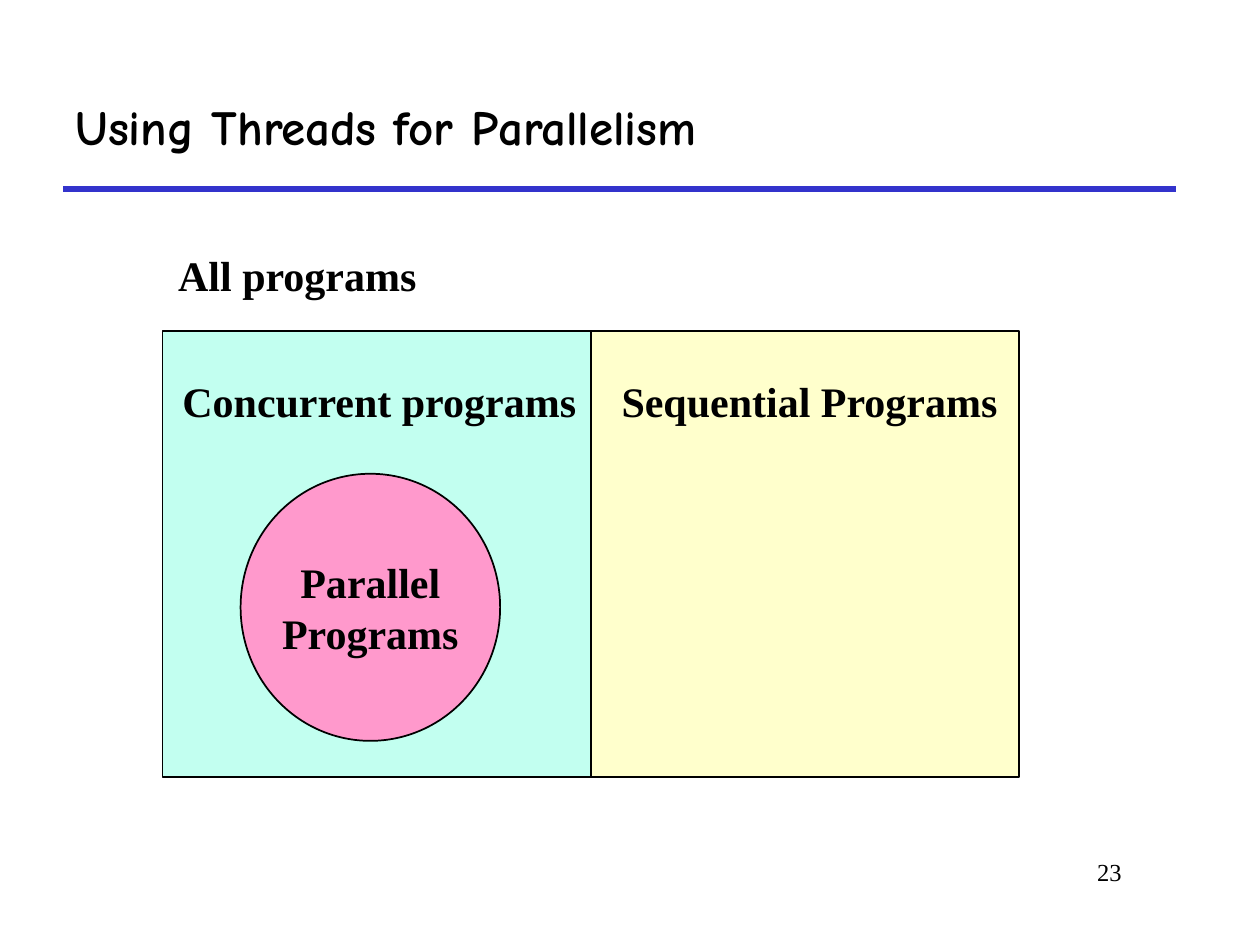
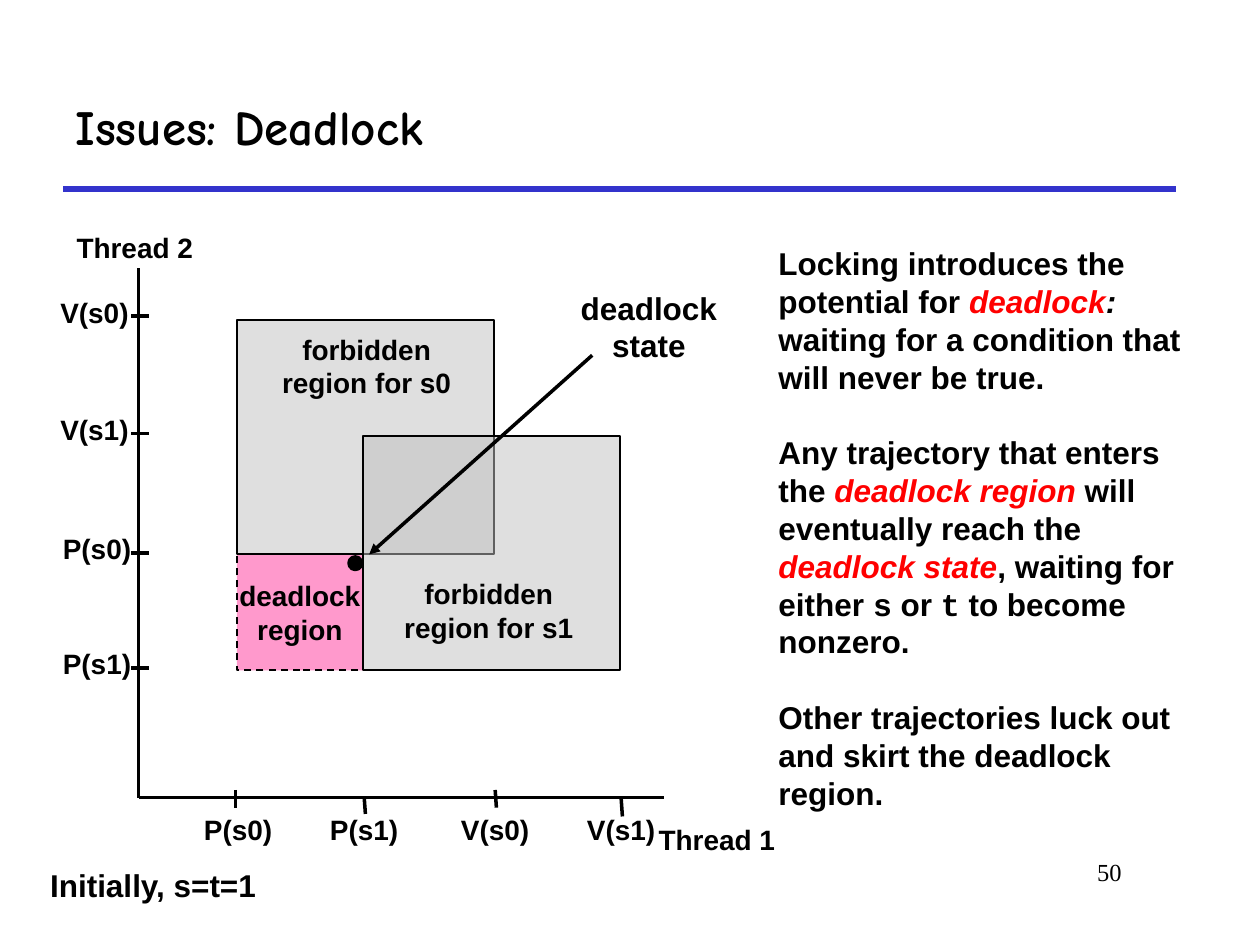
import pptx
import pptx.dml.color
import pptx.enum.dml
import pptx.enum.shapes
import pptx.enum.text
import pptx.oxml
import pptx.oxml.ns
import pptx.util

PX = 9144
COLORS = {
    "black": "000000", "rule": "3333CC", "mint": "C2FFF0", "cream": "FFFFCC",
    "pink": "FF99CC", "gray": "C0C0C0", "red": "FF0000",
}
TITLE_FONT, SERIF, SANS, MONO = "Comic Neue", "Times New Roman", "Arial", "Courier New"
ALIGN = pptx.enum.text.PP_ALIGN
ANCHOR = pptx.enum.text.MSO_ANCHOR
SHAPE = pptx.enum.shapes.MSO_SHAPE


def px(*lengths):
    """Turn px lengths into EMU."""
    return [pptx.util.Emu(length * PX) for length in lengths]


def rgb(name):
    """Look up a named colour."""
    return pptx.dml.color.RGBColor.from_string(COLORS[name])


def make_element(xml):
    """Parse a DrawingML fragment."""
    namespace = pptx.oxml.ns.nsdecls("a")
    return pptx.oxml.parse_xml(xml.replace("/>", f" {namespace}/>", 1))


def add_run(paragraph, text, size, font=SANS, bold=True, italic=False, color="black"):
    """Append one formatted run."""
    run = paragraph.add_run()
    run.text = text
    run.font.size = pptx.util.Pt(size)
    run.font.name = font
    run.font.bold = bold
    run.font.italic = italic
    run.font.color.rgb = rgb(color)


def set_frame(frame, inset, anchor, wrap):
    """Set the insets, anchor and wrapping of a text frame."""
    frame.margin_left, frame.margin_right = px(10, 10)
    frame.margin_top, frame.margin_bottom = px(inset, inset)
    frame.vertical_anchor = anchor
    frame.word_wrap = wrap


def write_lines(shape, lines, size, font=SANS, inset=5, bold=True,
                align=ALIGN.CENTER, anchor=ANCHOR.MIDDLE, wrap=False):
    """Write each line as one paragraph of a shape."""
    frame = shape.text_frame
    set_frame(frame, inset, anchor, wrap)
    for index, line in enumerate(lines):
        paragraph = frame.add_paragraph() if index else frame.paragraphs[0]
        paragraph.alignment = align
        add_run(paragraph, line, size, font, bold)


def add_label(slide, box, lines, size, **style):
    """Add a text box that grows with its lines unless it wraps."""
    label = slide.shapes.add_textbox(*px(*box))
    write_lines(label, lines, size, **style)
    if not label.text_frame.word_wrap:
        label.text_frame.auto_size = pptx.enum.text.MSO_AUTO_SIZE.SHAPE_TO_FIT_TEXT


def add_region(slide, kind, box, fill, opacity=100, weight=1):
    """Add a filled, outlined shape."""
    shape = slide.shapes.add_shape(kind, *px(*box))
    shape.shadow.inherit = False
    shape.fill.solid()
    shape.fill.fore_color.rgb = rgb(fill)
    if opacity < 100:
        color = shape.fill._xPr.find(".//" + pptx.oxml.ns.qn("a:srgbClr"))
        color.append(make_element(f'<a:alpha val="{opacity * 1000}"/>'))
    shape.line.color.rgb = rgb("black")
    shape.line.width = pptx.util.Pt(weight)
    return shape


def add_line(slide, start, end, color="black", weight=2, arrow=False):
    """Add a straight line, with an arrowhead at its end if asked."""
    connector = slide.shapes.add_connector(
        pptx.enum.shapes.MSO_CONNECTOR.STRAIGHT, *px(*start, *end))
    connector.line.color.rgb = rgb(color)
    connector.line.width = pptx.util.Pt(weight)
    if arrow:
        connector.line._get_or_add_ln().append(make_element('<a:tailEnd type="triangle"/>'))
    connector._element.spPr.append(make_element("<a:effectLst/>"))


def add_rich_text(slide, box, paragraphs, size, gap):
    """Add a wrapped text box whose paragraphs are lists of styled runs."""
    frame = slide.shapes.add_textbox(*px(*box)).text_frame
    set_frame(frame, 0, ANCHOR.TOP, True)
    for index, runs in enumerate(paragraphs):
        paragraph = frame.add_paragraph() if index else frame.paragraphs[0]
        if index:
            paragraph.space_before = pptx.util.Pt(gap)
        for text, style in runs:
            add_run(paragraph, text, size, **style)


def add_base_slide(presentation, title, number):
    """Add a blank slide with the shared rule, page number and title."""
    slide = presentation.slides.add_slide(presentation.slide_layouts[6])
    add_line(slide, (50, 150), (933, 150), "rule", 3)
    add_label(slide, (758, 675, 142, 50), [number], 14, font=SERIF, bold=False,
              align=ALIGN.RIGHT, anchor=ANCHOR.TOP, wrap=True)
    add_label(slide, (50, 50, 883, 100), [title], 28, font=TITLE_FONT,
              align=ALIGN.LEFT, wrap=True)
    return slide


def build_parallelism(presentation):
    """Build the diagram of program classes."""
    slide = add_base_slide(presentation, "Using Threads for Parallelism", "23")
    add_label(slide, (131, 193, 210, 50), ["All programs"], 24, font=SERIF)
    for left, fill in ((129, "mint"), (469, "cream")):
        add_region(slide, SHAPE.RECTANGLE, (left, 263, 340, 354), fill)
    add_label(slide, (483, 293, 319, 50), ["Sequential Programs"], 24, font=SERIF)
    add_label(slide, (134, 293, 334, 50), ["Concurrent programs"], 24, font=SERIF)
    circle = add_region(slide, SHAPE.OVAL, (191, 376, 206, 212), "pink")
    write_lines(circle, ["Parallel", "Programs"], 24, font=SERIF)


def add_axes(slide):
    """Draw both thread axes with their ticks and labels."""
    add_line(slide, (110, 633), (110, 213))
    add_line(slide, (110, 633), (527, 633))
    add_label(slide, (511, 648, 116, 37), ["Thread 1"], 16)
    add_label(slide, (49, 178, 116, 37), ["Thread 2"], 16)
    for text, x, top, slant, left in (
            ("P(s0)", 187, 627, 0, 152), ("P(s1)", 289, 632, 1, 252),
            ("V(s0)", 393, 627, 1, 356), ("V(s1)", 493, 634, 1, 456)):
        add_line(slide, (x, top), (x + slant, top + 14))
        add_label(slide, (left, 640, 74, 37), [text], 16)
    for text, y, left in (("V(s0)", 251, 38), ("V(s1)", 344, 38),
                          ("P(s0)", 439, 40), ("P(s1)", 530, 40)):
        add_line(slide, (104, y), (118, y))
        add_label(slide, (left, y - 22, 74, 37), [text], 16)


def build_deadlock(presentation):
    """Build the progress graph and its explanation."""
    slide = add_base_slide(presentation, "Issues: Deadlock", "50")
    deadlock = add_region(slide, SHAPE.RECTANGLE, (188, 440, 100, 92), "pink")
    deadlock.line.dash_style = pptx.enum.dml.MSO_LINE.DASH
    write_lines(deadlock, ["deadlock", "region"], 16, inset=0)
    add_axes(slide)
    for left, top in ((188, 254), (288, 346)):
        add_region(slide, SHAPE.RECTANGLE, (left, top, 204, 186), "gray", opacity=50)
    for left, top, name in ((214, 264, "s0"), (311, 458, "s1")):
        add_label(slide, (left, top, 154, 53), ["forbidden", f"region for {name}"], 16, inset=0)
    add_label(slide, (29, 687, 185, 30), ["Initially, s=t=1"], 18, inset=0)
    add_region(slide, SHAPE.OVAL, (277, 442, 10, 10), "black", weight=2)
    add_label(slide, (447, 229, 136, 60), ["deadlock", "state"], 18, inset=0)
    add_line(slide, (470, 282), (293, 440), arrow=True)

    plain, code = {}, {"font": MONO}
    term = {"color": "red", "italic": True}
    add_rich_text(slide, (608, 194, 359, 480), [
        [("Locking introduces the potential for ", plain), ("deadlock", term),
         (":", {"italic": True}), (" waiting for a condition that will never be true.", plain)],
        [("Any trajectory that enters the ", plain), ("deadlock region", term),
         (" will eventually reach the ", plain), ("deadlock state", term),
         (", waiting for either ", plain), ("s", code), (" or ", plain), ("t", code),
         (" to become nonzero.", plain)],
        [("Other trajectories luck out and skirt the deadlock region.", plain)],
    ], 18, 21.6)


def main():
    """Build and save the presentation."""
    presentation = pptx.Presentation()
    presentation.slide_width, presentation.slide_height = px(1000, 750)
    build_parallelism(presentation)
    build_deadlock(presentation)
    presentation.save("out.pptx")


if __name__ == "__main__":
    main()
